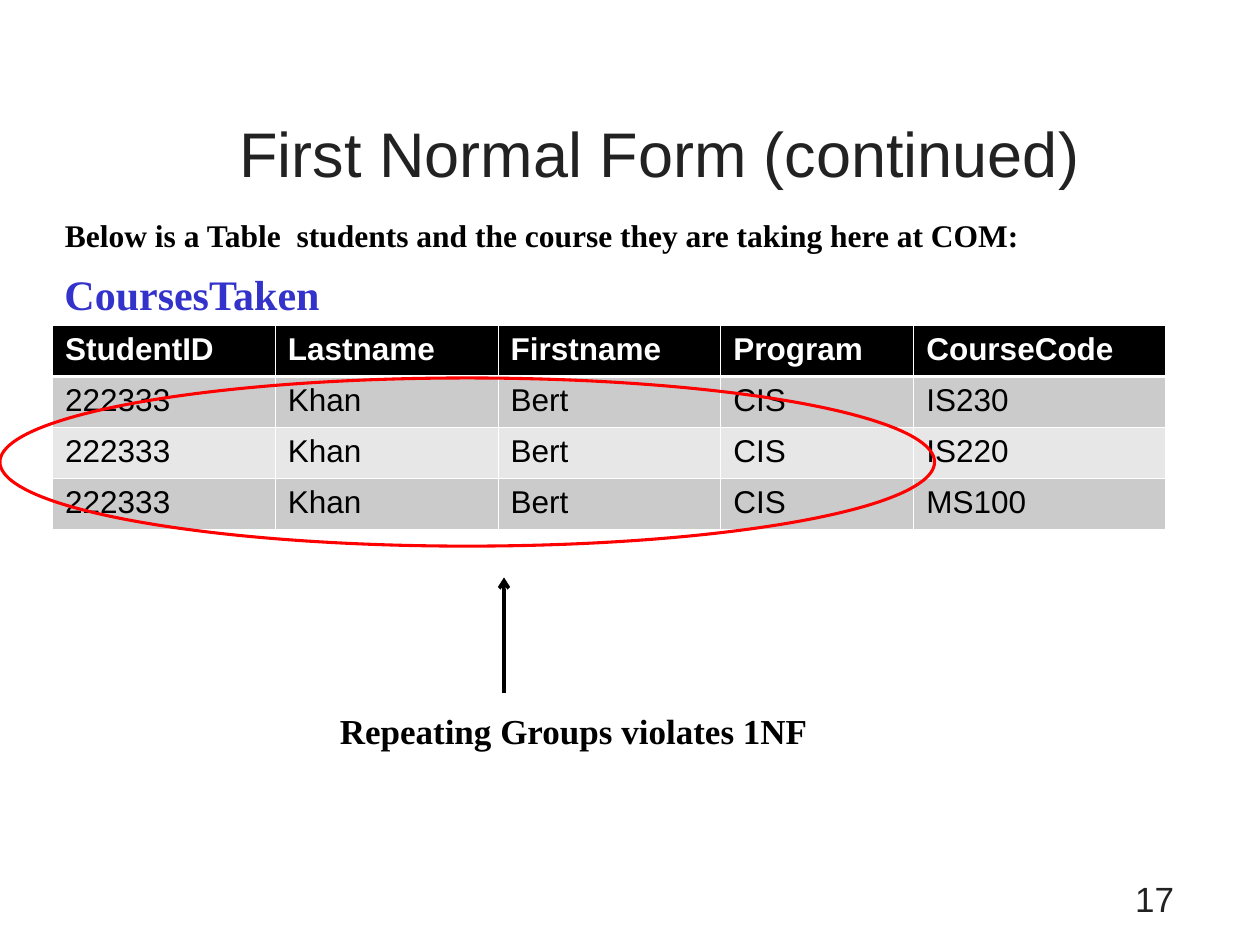
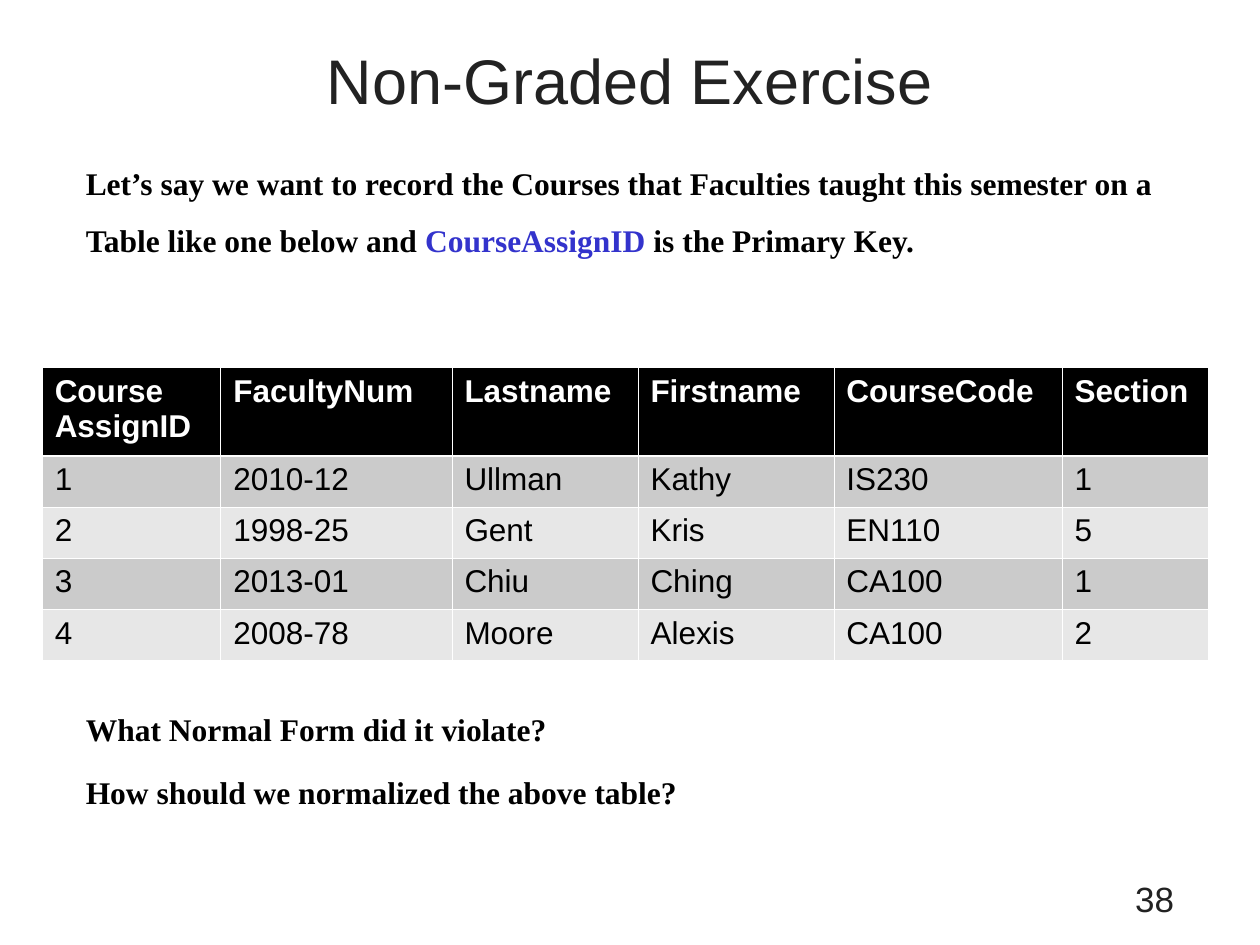
from lxml.etree import SubElement
from pptx import Presentation
from pptx.dml.color import RGBColor
from pptx.enum.shapes import MSO_CONNECTOR, MSO_SHAPE
from pptx.enum.text import MSO_ANCHOR, PP_ALIGN
from pptx.oxml.ns import qn
from pptx.util import Cm, Pt

BLACK = RGBColor(0x00, 0x00, 0x00)
WHITE = RGBColor(0xFF, 0xFF, 0xFF)
CHARCOAL = RGBColor(0x22, 0x22, 0x22)
BLUE = RGBColor(0x33, 0x33, 0xCC)
RED = RGBColor(0xFF, 0x00, 0x00)
BAND_DARK = RGBColor(0xCB, 0xCB, 0xCB)
BAND_LIGHT = RGBColor(0xE7, 0xE7, 0xE7)
SANS = "Arial"
SERIF = "Times New Roman"


def write(tf, text, font=SERIF, size=18, color=BLACK, bold=True,
          align=PP_ALIGN.LEFT, gap=0, accent=None):
    for i, line in enumerate(text.split("\n")):
        p = tf.paragraphs[0] if i == 0 else tf.add_paragraph()
        p.alignment = align
        if i and gap:
            p.space_before = Pt(gap)
        before, word, after = line.partition(accent) if accent else (line, "", "")
        for part, tint in ((before, color), (word, BLUE), (after, color)):
            if part:
                r = p.add_run()
                r.text = part
                r.font.name = font
                r.font.size = Pt(size)
                r.font.bold = bold
                r.font.color.rgb = tint


class Deck:
    row_height = 1.03
    thin, thick = 0.45, 1.47

    def __init__(self):
        self.prs = Presentation()
        self.prs.slide_width = Cm(25.4)
        self.prs.slide_height = Cm(19.05)
        self.s = None

    def slide(self, title, left, top, number):
        self.s = self.prs.slides.add_slide(self.prs.slide_layouts[6])
        self.text(title, left, top, 22.43, 3.18, anchor=MSO_ANCHOR.MIDDLE,
                  font=SANS, size=36, color=CHARCOAL, bold=False,
                  align=PP_ALIGN.CENTER)
        self.text(str(number), 18.2, 17.57, 5.72, 1.06, font=SANS, size=20,
                  color=CHARCOAL, bold=False, align=PP_ALIGN.RIGHT)

    def text(self, text, left, top, width, height, wrap=True,
             anchor=MSO_ANCHOR.TOP, **fmt):
        sp = self.s.shapes.add_textbox(Cm(left), Cm(top), Cm(width), Cm(height))
        tf = sp.text_frame
        tf.word_wrap = wrap
        tf.vertical_anchor = anchor
        write(tf, text, **fmt)

    def borders(self, cell, top, bottom):
        tc_pr = cell._tc.get_or_add_tcPr()
        widths = {"L": self.thin, "R": self.thin, "T": top, "B": bottom}
        for side, width in widths.items():
            ln = SubElement(tc_pr, qn(f"a:ln{side}"), w=str(Pt(width)))
            fill = SubElement(ln, qn("a:solidFill"))
            SubElement(fill, qn("a:srgbClr"), val=str(WHITE))

    def table(self, rows, left, top, widths, header_height):
        heights = [header_height] + [self.row_height] * (len(rows) - 1)
        table = self.s.shapes.add_table(
            len(rows), len(widths), Cm(left), Cm(top),
            Cm(sum(widths)), Cm(sum(heights))).table
        for column, width in zip(table.columns, widths):
            column.width = Cm(width)
        for i, (row, height) in enumerate(zip(rows, heights)):
            table.rows[i].height = Cm(height)
            header = i == 0
            band = BLACK if header else BAND_DARK if i % 2 else BAND_LIGHT
            for j, value in enumerate(row):
                cell = table.cell(i, j)
                self.borders(cell, self.thick if i == 1 else self.thin,
                             self.thick if header else self.thin)
                cell.fill.solid()
                cell.fill.fore_color.rgb = band
                write(cell.text_frame, value, font=SANS, bold=header,
                      color=WHITE if header else BLACK)

    def arrow(self, x1, y1, x2, y2):
        line = self.s.shapes.add_connector(
            MSO_CONNECTOR.STRAIGHT, Cm(x1), Cm(y1), Cm(x2), Cm(y2))
        line.line.color.rgb = BLACK
        line.line.width = Pt(2)
        SubElement(line.line._get_or_add_ln(), qn("a:tailEnd"), type="arrow")
        SubElement(line._element.spPr, qn("a:effectLst"))

    def ring(self, left, top, width, height):
        sp = self.s.shapes.add_shape(
            MSO_SHAPE.OVAL, Cm(left), Cm(top), Cm(width), Cm(height))
        sp.shadow.inherit = False
        sp.fill.background()
        sp.line.color.rgb = RED
        sp.line.width = Pt(1.75)


def first_normal_form(deck):
    deck.slide("First Normal Form (continued)", 2.08, 1.48, 17)
    courses = ["IS230", "IS220", "MS100"]
    rows = [["StudentID", "Lastname", "Firstname", "Program", "CourseCode"]]
    rows += [["222333", "Khan", "Bert", "CIS", course] for course in courses]
    deck.table(rows, 1.06, 6.56, [4.49, 4.49, 4.49, 3.89, 5.07], deck.row_height)
    deck.text("Below is a Table  students and the course they are taking here at COM:",
              1.06, 4.24, 21.39, 1.02)
    deck.arrow(10.16, 13.97, 10.16, 11.64)
    deck.text("Repeating Groups violates 1NF", 6.6, 14.18, 9.96, 1.12,
              wrap=False, size=20)
    deck.text("CoursesTaken", 1.05, 5.29, 5.72, 1.27, wrap=False, size=24, color=BLUE)
    deck.ring(0, 7.62, 18.84, 3.39)


def exercise(deck):
    deck.slide("Non-Graded Exercise", 1.48, 0, 38)
    deck.text("Let’s say we want to record the Courses that Faculties taught this semester on a\n"
              "Table like one below and CourseAssignID is the Primary Key.",
              1.48, 3.18, 22.43, 2.18, gap=11.2, accent="CourseAssignID")
    deck.table([
        ["Course\nAssignID", "FacultyNum", "Lastname", "Firstname", "CourseCode", "Section"],
        ["1", "2010-12", "Ullman", "Kathy", "IS230", "1"],
        ["2", "1998-25", "Gent", "Kris", "EN110", "5"],
        ["3", "2013-01", "Chiu", "Ching", "CA100", "1"],
        ["4", "2008-78", "Moore", "Alexis", "CA100", "2"],
    ], 0.85, 7.41, [3.6, 4.66, 3.75, 3.95, 4.6, 2.94], 1.78)
    questions = ["What Normal Form did it violate?",
                 "How should we normalized the above table?"]
    for i, question in enumerate(questions):
        deck.text(question, 1.48, 14.18 + 1.27 * i, 21.39, 1.02)


def main():
    deck = Deck()
    first_normal_form(deck)
    exercise(deck)
    deck.prs.save("out.pptx")


if __name__ == "__main__":
    main()
